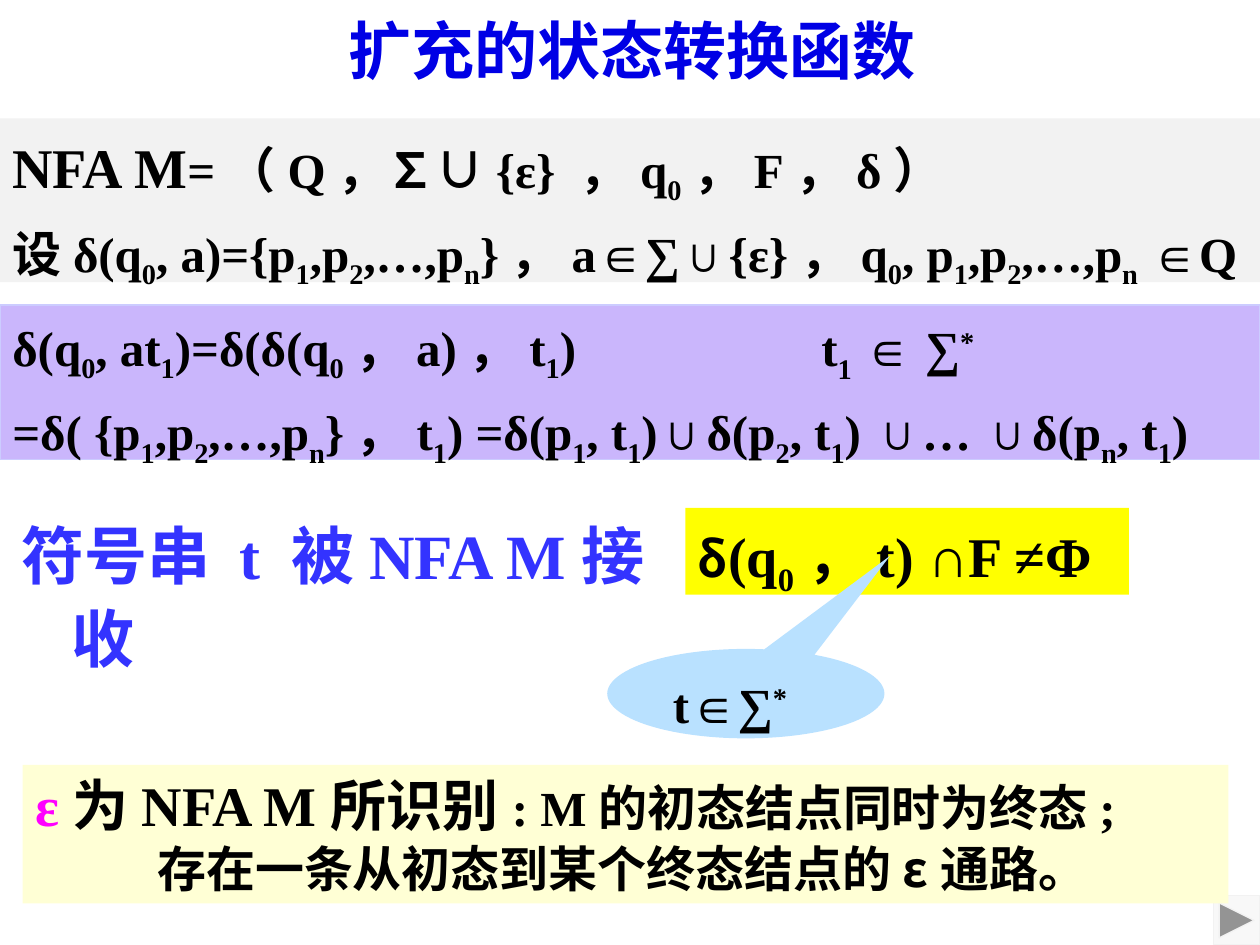
"""Build the slide on the extended state transition function of an NFA."""
from lxml.etree import SubElement
from pptx import Presentation
from pptx.dml.color import RGBColor
from pptx.enum.shapes import MSO_SHAPE
from pptx.enum.text import MSO_ANCHOR, PP_ALIGN
from pptx.oxml.ns import qn
from pptx.util import Inches, Pt

THEME = {
    "latin": "Times New Roman", "cjk": "Noto Sans CJK SC",
    "heading": 36, "large": 32, "body": 28,
    "title": "0000E5", "ink": "000000", "accept": "3333FF", "epsilon": "FF00FF",
    "definition": "F2F2F2", "extension": "CAB6FC", "extension_edge": "CCCCFF",
    "condition": "FFFF00", "callout": "B9E1FF", "remark": "FFFFD5",
    "button": "F8F8F8", "button_edge": "F2F2F2",
}
BASELINES = {"_": "-25000", "^": "30000"}
FRAME = {"word_wrap": True, "vertical_anchor": MSO_ANCHOR.TOP,
         "margin_left": Inches(0.1), "margin_right": Inches(0.1),
         "margin_top": Inches(0.05), "margin_bottom": Inches(0.05)}


def write(paragraph, text, size="body", color="ink", font="latin"):
    """Add runs split at bars; a leading _ lowers a run and ^ raises it."""
    for part in text.split("|"):
        run = paragraph.add_run()
        mark = part[0] if part[0] in BASELINES else ""
        run.text = part[len(mark):]
        values = {"name": THEME[font], "size": Pt(THEME[size]), "bold": True}
        for key, value in values.items():
            setattr(run.font, key, value)
        run.font.color.rgb = RGBColor.from_string(THEME[color])
        properties = run._r.get_or_add_rPr()
        SubElement(properties, qn("a:ea")).set("typeface", THEME["cjk"])
        if mark:
            properties.set("baseline", BASELINES[mark])


def paint(shape, fill, edge=None):
    """Give a shape a flat fill and an optional thin edge."""
    shape.shadow.inherit = False
    shape.fill.solid()
    shape.fill.fore_color.rgb = RGBColor.from_string(THEME[fill])
    if edge:
        shape.line.color.rgb = RGBColor.from_string(THEME[edge])
        shape.line.width = Pt(0.75)
    else:
        shape.line.fill.background()


presentation = Presentation()
presentation.slide_width, presentation.slide_height = Inches(10), Inches(7.5)
slide = presentation.slides.add_slide(presentation.slide_layouts[5])

title = slide.shapes.title
title_place = {"left": 2.06, "top": 0.06, "width": 5.92, "height": 0.67}
for key, value in title_place.items():
    setattr(title, key, Inches(value))
for key, value in {**FRAME, "vertical_anchor": MSO_ANCHOR.MIDDLE}.items():
    setattr(title.text_frame, key, value)
title.text_frame.paragraphs[0].alignment = PP_ALIGN.CENTER
write(title.text_frame.paragraphs[0], "扩充的状态转换函数", "heading", "title")

blocks = [
    {"at": (5.44, 4.03, 3.52, 0.69), "fill": "condition", "hang": (0.5, -0.5),
     "lines": [[("δ", "body", "ink", "cjk"), ("(q|_0|，t) ∩F ≠Φ", "large")]]},
    {"at": (-0.03, 3.99, 5.47, 0.77), "hang": (0.5, -0.4),
     "lines": [[("符号串 t 被NFA M接收", "heading", "accept")]]},
    {"at": (0, 0.94, 10, 1.3), "fill": "definition",
     "before": 6, "align": PP_ALIGN.JUSTIFY,
     "lines": [[("NFA M", "large"), ("=（Q，∑∪{ε} ，q|_0|，F，δ）",)],
               [("设δ(q|_0|, a)={p|_1|,p|_2|,…,p|_n|}，a∈∑∪{ε}，q|_0|"
                 ", p|_1|,p|_2|,…,p|_n| ∈Q",)]]},
    {"at": (0, 2.42, 10, 1.23), "fill": "extension", "edge": "extension_edge",
     "before": 6,
     "lines": [[("δ(q|_0|, at|_1|)=δ(δ(q|_0|，a)，t|_1|)",)],
               [("=δ( {p|_1|,p|_2|,…,p|_n|}，t|_1|) =δ(p|_1|, t|_1|)"
                 "∪δ(p|_2|, t|_1|) ∪… ∪δ(p|_n|, t|_1|)",)]]},
    {"at": (6.42, 2.42, 1.6, 0.62), "lines": [[("t|_1| ∈ ∑|^*",)]]},
    {"at": (9.63, 7.11, 0.37, 0.39), "fill": "button", "edge": "button_edge",
     "preset": MSO_SHAPE.ACTION_BUTTON_FORWARD_OR_NEXT, "lines": []},
    {"at": (0.18, 6.07, 9.57, 1.1), "fill": "remark", "spacing": 1.0,
     "last_indent": 0.97,
     "lines": [[("ε", "large", "epsilon"), ("为NFA M所识别", "large"),
                (": M的初态结点同时为终态;",)],
               [("存在一条从初态到某个终态结点的ε通路。", "body", "ink", "cjk")]]},
    {"at": (4.82, 5.15, 2.2, 0.71), "fill": "callout",
     "preset": MSO_SHAPE.OVAL_CALLOUT, "pointer": (0.52, -1.54),
     "hang": (0.5, -0.4), "lines": [[("t∈∑|^*",)]]},
]

for block in blocks:
    place = [Inches(value) for value in block["at"]]
    if "fill" in block:
        preset = block.get("preset", MSO_SHAPE.RECTANGLE)
        shape = slide.shapes.add_shape(preset, *place)
        paint(shape, block["fill"], block.get("edge"))
    else:
        shape = slide.shapes.add_textbox(*place)
    for index, value in enumerate(block.get("pointer", ())):
        shape.adjustments[index] = value
    frame = shape.text_frame
    for key, value in FRAME.items():
        setattr(frame, key, value)
    for index, line in enumerate(block["lines"]):
        paragraph = frame.add_paragraph() if index else frame.paragraphs[0]
        layout = {"alignment": block.get("align", PP_ALIGN.LEFT),
                  "line_spacing": block.get("spacing", 1.1),
                  "space_before": Pt(block.get("before", 0) if index else 0)}
        for key, value in layout.items():
            setattr(paragraph, key, value)
        properties = paragraph._p.get_or_add_pPr()
        margin, indent = block.get("hang", (0, 0))
        if index:
            margin = block.get("last_indent", margin)
        properties.set("marL", str(Inches(margin)))
        properties.set("indent", str(Inches(indent)))
        for piece in line:
            write(paragraph, *piece)

presentation.save("out.pptx")
